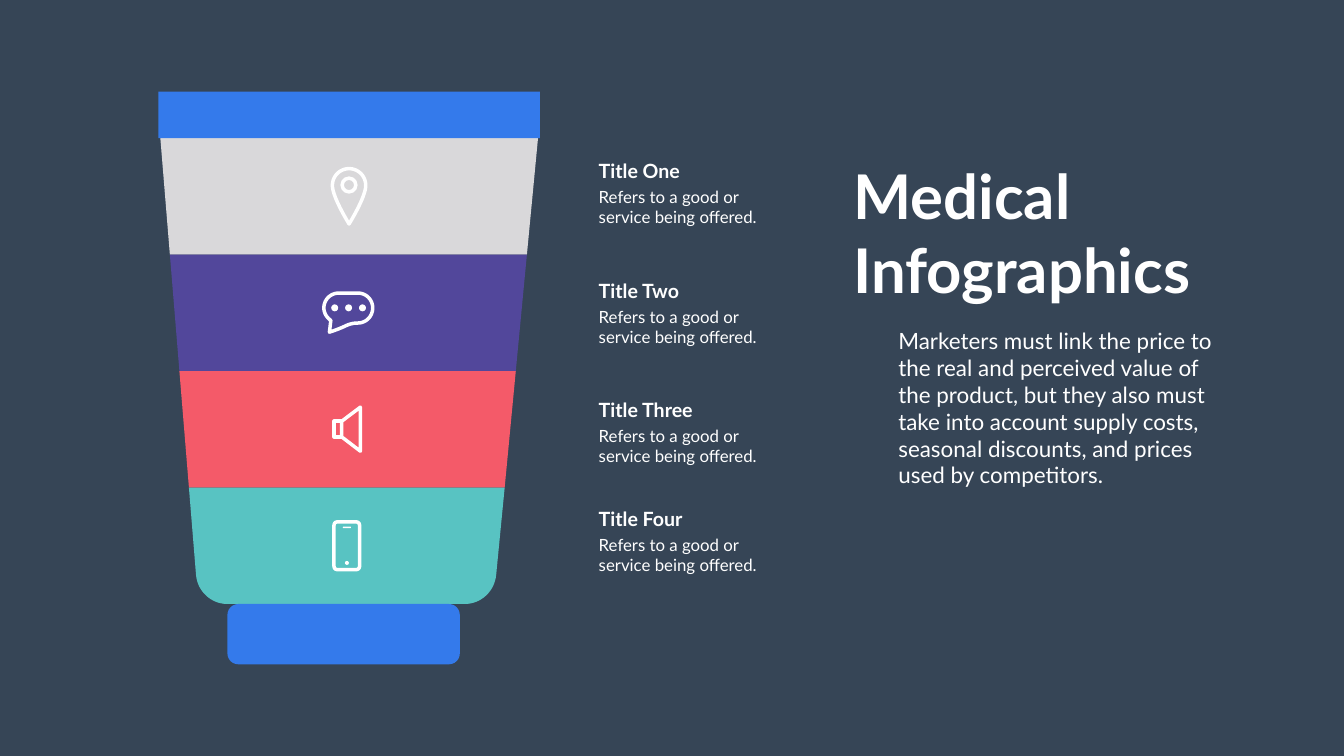
from lxml import etree
from pptx import Presentation
from pptx.dml.color import RGBColor
from pptx.enum import shapes, text
from pptx.oxml import ns
from pptx.util import Cm, Pt

WHITE, BLUE, SLATE = "FFFFFF", "347AEB", "364556"
BAND_COLORS = ["D9D8DA", "52479B", "F45A69", "58C3C2"]
BAND_HEIGHT = 5.87
LEFT_SLANT, RIGHT_SLANT = 0.48, 0.56
STROKE = 5
CAPTIONS = [("Title One", 7.87), ("Title Two", 13.92),
            ("Title Three", 19.94), ("Title Four", 25.4)]
CAPTION_LINES = ["Refers to a good or", "service being offered."]
SUMMARY = ("Marketers must link the price to the real and perceived value of the "
           "product, but they also must take into account supply costs, seasonal "
           "discounts, and prices used by competitors.")
SHAPE = shapes.MSO_SHAPE


def color(value):
    return RGBColor.from_string(value)


def paint(shape, fill=None, line=None):
    """Give a shape a flat fill, a stroke, or both."""
    shape.shadow.inherit = False
    for target, value in ((shape.fill, fill), (shape.line.fill, line)):
        if value:
            target.solid()
            target.fore_color.rgb = color(value)
        else:
            target.background()
    if line:
        shape.line.width = Pt(STROKE)


def add_preset(slide, kind, left, top, width, height, radius=None, **colors):
    shape = slide.shapes.add_shape(kind, Cm(left), Cm(top), Cm(width), Cm(height))
    if radius is not None:
        shape.adjustments[0] = radius
    paint(shape, **colors)


def curve_points(start, curve, steps=16):
    """Points along a cubic curve given as x1, y1, x2, y2, x, y."""
    controls = [start, curve[:2], curve[2:4], curve[4:]]
    for step in range(1, steps + 1):
        t = step / steps
        weights = [(1 - t) ** 3, 3 * t * (1 - t) ** 2, 3 * t * t * (1 - t), t ** 3]
        yield tuple(sum(weight * point[axis] for weight, point in zip(weights, controls))
                    for axis in (0, 1))


def add_outline(slide, left, top, segments, **colors):
    """Closed outline: pairs are corners, sextuples are curves."""
    points = [segments[0]]
    for segment in segments[1:]:
        points.extend([segment] if len(segment) == 2
                      else curve_points(points[-1], segment))
    points = [(Cm(left + x), Cm(top + y)) for x, y in points]
    builder = slide.shapes.build_freeform(*points[0], scale=1.0)
    builder.add_line_segments(points[1:], close=True)
    paint(builder.convert_to_shape(), **colors)


def write(shape, lines, size, bold=False):
    frame = shape.text_frame
    frame.word_wrap = True
    frame.auto_size = text.MSO_AUTO_SIZE.NONE
    frame.vertical_anchor = text.MSO_ANCHOR.TOP
    frame.text = "\n".join(lines)
    font_format = {"name": "Lato", "size": Pt(size), "bold": bold}
    for paragraph in frame.paragraphs:
        properties = paragraph._p.get_or_add_pPr()
        properties.set("marL", "0")
        properties.set("indent", "0")
        etree.SubElement(properties, ns.qn("a:buNone"))
        paragraph.alignment = text.PP_ALIGN.LEFT
        paragraph.space_before = Pt(0)
        for run in paragraph.runs:
            for name, value in font_format.items():
                setattr(run.font, name, value)
            run.font.color.rgb = color(WHITE)


def add_pin(slide, left, top):
    add_outline(slide, left, top, [
        (0.93, 0.09), (1.39, 0.09, 1.77, 0.46, 1.77, 0.94),
        (1.77, 1.33, 1.4, 2.1, 0.93, 2.88), (0.46, 2.1, 0.09, 1.33, 0.09, 0.94),
        (0.09, 0.46, 0.47, 0.09, 0.93, 0.09)], line=WHITE)
    add_preset(slide, SHAPE.OVAL, left + 0.58, top + 0.57, 0.69, 0.69, line=WHITE)


def add_speech_bubble(slide, left, top):
    add_outline(slide, left, top, [
        (0.84, 0.09), (1.8, 0.09), (2.22, 0.09, 2.55, 0.42, 2.55, 0.84),
        (2.55, 1.26, 2.22, 1.6, 1.8, 1.6), (1.57, 1.6, 1.4, 1.65, 1.21, 1.73),
        (0.91, 1.88, 0.53, 2.01, 0.37, 2.06), (0.44, 1.47),
        (0.23, 1.32, 0.09, 1.09, 0.09, 0.84),
        (0.09, 0.42, 0.43, 0.09, 0.84, 0.09)], line=WHITE)
    for dot in range(3):
        add_preset(slide, SHAPE.OVAL, left + 0.46 + 0.7 * dot, top + 0.66,
                   0.35, 0.35, fill=WHITE)


def add_speaker(slide, left, top):
    add_outline(slide, left, top, [(0.48, 0.81), (1.42, 0.1), (1.42, 2.32), (0.48, 1.6)],
                line=WHITE)
    add_preset(slide, SHAPE.RECTANGLE, left + 0.1, top + 0.81, 0.38, 0.79, line=WHITE)


def add_phone(slide, left, top):
    rounded = SHAPE.ROUNDED_RECTANGLE
    add_preset(slide, rounded, left + 0.09, top + 0.09, 1.29, 2.41, 0.13, line=WHITE)
    add_preset(slide, SHAPE.OVAL, left + 0.64, top + 2.06, 0.2, 0.2, fill=WHITE)
    add_preset(slide, rounded, left + 0.53, top + 0.33, 0.41, 0.08, 0.5, fill=WHITE)


def add_tube(slide, left, top, width):
    # Tapering bands, the last one with rounded lower corners
    body_top = top + 2.34
    inner_width = width - 0.2
    for index, fill in enumerate(BAND_COLORS):
        band_width = inner_width - index * (LEFT_SLANT + RIGHT_SLANT)
        corners = [(0, 0), (band_width, 0)]
        if index < len(BAND_COLORS) - 1:
            corners += [(band_width - RIGHT_SLANT, BAND_HEIGHT), (LEFT_SLANT, BAND_HEIGHT)]
        else:
            right = band_width - 0.43
            corners += [
                (right, 4.42),
                (right - 0.08, 5.23, right - 0.76, BAND_HEIGHT, right - 1.57, BAND_HEIGHT),
                (1.93, BAND_HEIGHT),
                (1.12, BAND_HEIGHT, 0.43, 5.23, 0.36, 4.42)]
        add_outline(slide, left + 0.1 + index * LEFT_SLANT,
                    body_top + index * BAND_HEIGHT, corners, fill=fill)

    # Crimped end and cap
    add_preset(slide, SHAPE.RECTANGLE, left, top, width, 2.34, fill=BLUE)
    add_preset(slide, SHAPE.ROUNDED_RECTANGLE, left + 3.48,
               body_top + len(BAND_COLORS) * BAND_HEIGHT, 11.71, 3.04, 0.18, fill=BLUE)

    # One icon on each band
    icons = [(add_pin, 8.68, 1.45), (add_speech_bubble, 8.25, 1.85),
             (add_speaker, 8.76, 1.72), (add_phone, 8.76, 1.64)]
    for index, (add_icon, x, y) in enumerate(icons):
        add_icon(slide, left + x, body_top + index * BAND_HEIGHT + y)


def add_caption(slide, left, top, width, title):
    for lines, offset, height, size, bold in (([title], 0, 1.45, 28, True),
                                              (CAPTION_LINES, 1.4, 2.31, 24, False)):
        box = slide.shapes.add_textbox(Cm(left), Cm(top + offset), Cm(width), Cm(height))
        write(box, lines, size, bold)


def add_heading(slide, left, top):
    title, body = slide.shapes.title, slide.placeholders[1]
    boxes = ((title, (left, top, 17.93, 7.77)),
             (body, (left + 2.26, top + 8.51, 16.41, 8.46)))
    for placeholder, box in boxes:
        for name, value in zip(("left", "top", "width", "height"), box):
            setattr(placeholder, name, Cm(value))
    write(title, ["Medical", "Infographics"], 88, True)
    write(body, [SUMMARY], 32)


def main():
    presentation = Presentation()
    presentation.slide_width, presentation.slide_height = Cm(67.72), Cm(38.1)
    slide = presentation.slides.add_slide(presentation.slide_layouts[1])
    slide.background.fill.solid()
    slide.background.fill.fore_color.rgb = color(SLATE)

    add_tube(slide, 7.98, 4.62, 19.23)
    for title, top in CAPTIONS:
        add_caption(slide, 29.92, top, 9, title)
    add_heading(slide, 42.75, 7.85)
    presentation.save("out.pptx")


if __name__ == "__main__":
    main()
